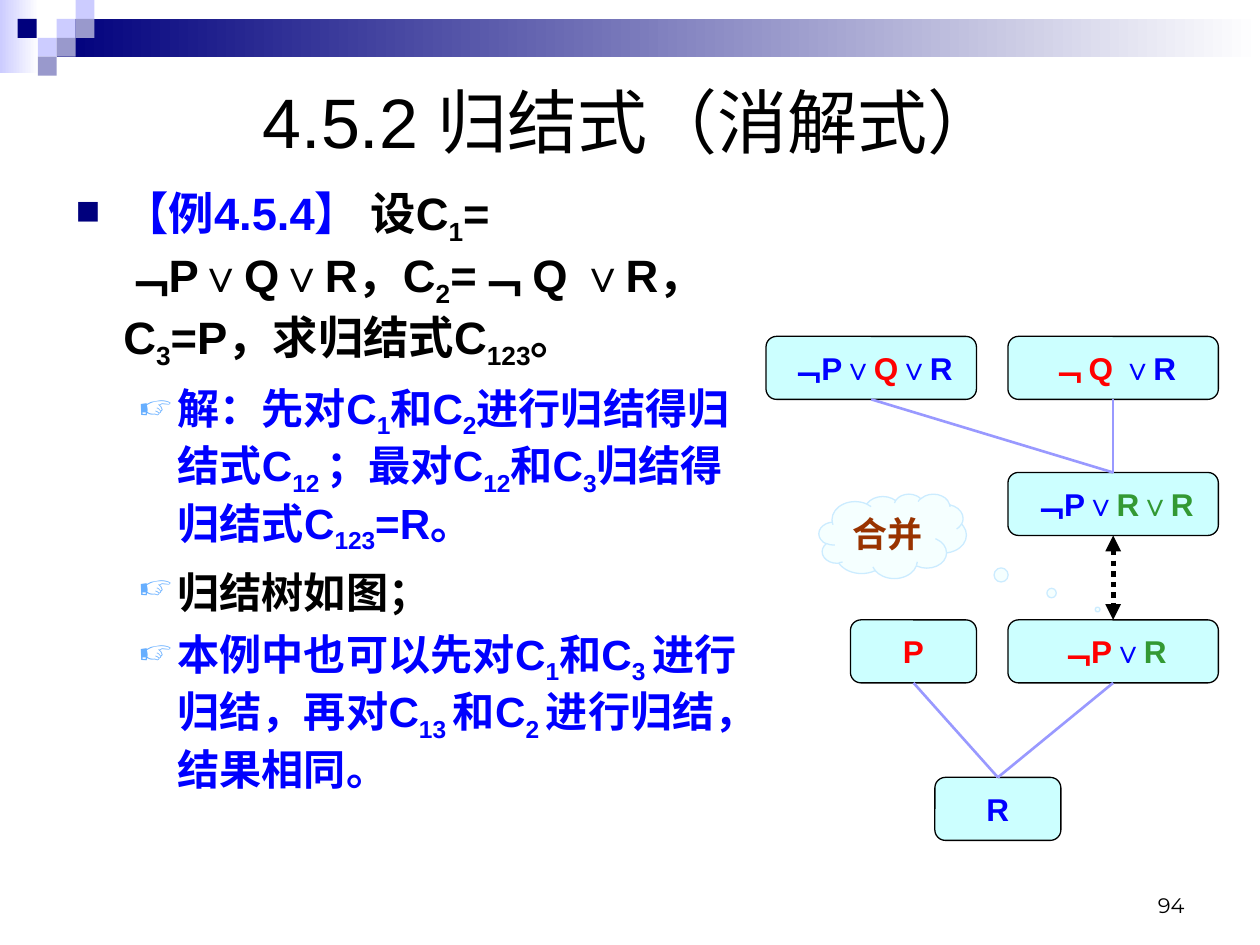
from dataclasses import dataclass

from lxml.etree import SubElement
from pptx import Presentation
from pptx.dml.color import RGBColor
from pptx.enum.dml import MSO_LINE
from pptx.enum.shapes import MSO_CONNECTOR, MSO_SHAPE
from pptx.enum.text import MSO_ANCHOR, PP_ALIGN
from pptx.oxml.ns import qn
from pptx.util import Inches, Pt

COLORS = {
    "navy": "00007D", "lilac": "CCCCFF", "violet": "9999CC", "white": "FFFFFF",
    "black": "000000", "blue": "0000FF", "red": "FF0000", "green": "339933",
    "brown": "993300", "clause": "CCFFFF", "edge": "9999FF", "sky": "67AFFF",
    "cloud": "F5FFFF", "cloud line": "CCECFF",
}


@dataclass
class Tile:
    left: float
    top: float
    color: str


@dataclass
class Clause:
    left: float
    top: float
    width: float
    runs: list[tuple[str, str]]
    height: float = 0.5

    @property
    def top_center(self) -> tuple[float, float]:
        return self.left + self.width / 2, self.top

    @property
    def bottom_center(self) -> tuple[float, float]:
        return self.left + self.width / 2, self.top + self.height


@dataclass
class Point:
    """A bulleted paragraph; braces in its runs hold subscripts."""
    runs: list[tuple[str, str]]
    size: float = 24.1
    level: int = 1
    margin: float = 0.81
    hanging: float = 0.31
    before: float = 6.5
    bullet: str = "☞"
    bullet_color: str = "sky"
    bullet_percent: int = 80


def rgb(name: str) -> RGBColor:
    return RGBColor.from_string(COLORS[name])


def add_runs(paragraph, runs: list[tuple[str, str]]) -> None:
    for text, color in runs:
        for index, part in enumerate(text.replace("}", "{").split("{")):
            if not part:
                continue
            run = paragraph.add_run()
            run.text = part
            run.font.color.rgb = rgb(color)
            if index % 2:
                run.font._element.set("baseline", "-25000")


def set_font(paragraph, size: float, bold: bool = False, name: str = "Arial") -> None:
    paragraph.font.name = name
    paragraph.font.size = Pt(size)
    paragraph.font.bold = bold


def add_shape(slide, kind, left: float, top: float, width: float, height: float,
              fill: str, line: str | None = None):
    shape = slide.shapes.add_shape(
        kind, Inches(left), Inches(top), Inches(width), Inches(height))
    shape.shadow.inherit = False
    shape.fill.solid()
    shape.fill.fore_color.rgb = rgb(fill)
    if line:
        shape.line.color.rgb = rgb(line)
        shape.line.width = Pt(0.75)
    else:
        shape.line.fill.background()
    return shape


def add_fading_bar(slide, left: float, top: float, width: float, height: float,
                   color: str) -> None:
    bar = add_shape(slide, MSO_SHAPE.RECTANGLE, left, top, width, height, color)
    bar.fill.gradient()
    bar.fill.gradient_angle = 0
    for stop, name, position in zip(bar.fill.gradient_stops, (color, "white"), (0, 1)):
        stop.color.rgb = rgb(name)
        stop.position = position


def add_label(slide, left: float, top: float, width: float, height: float, text: str,
              size: float, align, anchor, font: str = "Arial") -> None:
    frame = slide.shapes.add_textbox(
        Inches(left), Inches(top), Inches(width), Inches(height)).text_frame
    frame.word_wrap = True
    frame.vertical_anchor = anchor
    paragraph = frame.paragraphs[0]
    paragraph.alignment = align
    add_runs(paragraph, [(text, "black")])
    set_font(paragraph, size, name=font)


def add_point(paragraph, point: Point, first: bool) -> None:
    paragraph.level = point.level
    if not first:
        paragraph.space_before = Pt(point.before)
    properties = paragraph._p.get_or_add_pPr()
    properties.set("marL", str(Inches(point.margin)))
    properties.set("indent", str(-Inches(point.hanging)))
    color = SubElement(properties, qn("a:buClr"))
    SubElement(color, qn("a:srgbClr"), val=COLORS[point.bullet_color])
    SubElement(properties, qn("a:buSzPct"), val=str(point.bullet_percent * 1000))
    SubElement(properties, qn("a:buChar"), char=point.bullet)
    add_runs(paragraph, point.runs)
    set_font(paragraph, point.size, bold=True)


def add_clause(slide, clause: Clause) -> None:
    box = add_shape(slide, MSO_SHAPE.ROUNDED_RECTANGLE, clause.left, clause.top,
                    clause.width, clause.height, "clause", "black")
    frame = box.text_frame
    frame.word_wrap = False
    frame.vertical_anchor = MSO_ANCHOR.MIDDLE
    paragraph = frame.paragraphs[0]
    paragraph.alignment = PP_ALIGN.CENTER
    add_runs(paragraph, clause.runs)
    set_font(paragraph, 18, bold=True)


def add_edge(slide, start: tuple[float, float], end: tuple[float, float],
             color: str = "edge", width: float = 1.5):
    edge = slide.shapes.add_connector(
        MSO_CONNECTOR.STRAIGHT, *(Inches(value) for value in start + end))
    edge.line.color.rgb = rgb(color)
    edge.line.width = Pt(width)
    SubElement(edge._element.spPr, qn("a:effectLst"))
    return edge


presentation = Presentation()
presentation.slide_width, presentation.slide_height = Inches(10), Inches(7.5)
slide = presentation.slides.add_slide(presentation.slide_layouts[6])

# Banner with its mosaic of tiles
add_fading_bar(slide, 0, 0, 0.31, 0.58, "lilac")
add_fading_bar(slide, 0.45, 0.15, 9.55, 0.3, "navy")
for tile in (Tile(0.45, 0.15, "lilac"), Tile(0.6, 0, "lilac"),
             Tile(0.6, 0.15, "violet"), Tile(0.3, 0.3, "lilac"),
             Tile(0.14, 0.15, "navy"), Tile(0.45, 0.3, "violet"),
             Tile(0.3, 0.45, "violet")):
    add_shape(slide, MSO_SHAPE.RECTANGLE, tile.left, tile.top, 0.15, 0.15, tile.color)

# Title and page number
add_label(slide, 0.5, 0.5, 9, 0.92, "4.5.2 归结式（消解式）", 40,
          PP_ALIGN.CENTER, MSO_ANCHOR.MIDDLE)
add_label(slide, 7.17, 6.83, 2.33, 0.5, "94", 12,
          PP_ALIGN.RIGHT, MSO_ANCHOR.BOTTOM, "Montserrat")

# Example and its solution
points = [
    Point([("【例4.5.4】 ", "blue"),
           ("设C{1}=﹁P∨Q∨R，C{2}=﹁ Q ∨R， C{3}=P，求归结式C{123}。", "black")],
          25.9, 0, 0.38, 0.38, 7, "■", "navy", 75),
    Point([("解：先对C{1}和C{2}进行归结得归结式C{12 }；最对C{12}和C{3}"
            "归结得归结式C{123}=R。", "blue")]),
    Point([("归结树如图；", "black")]),
    Point([("本例中也可以先对C{1}和C{3 }进行归结，再对C{13 }和C{2 }"
            "进行归结，结果相同。", "blue")]),
]
example = slide.shapes.add_textbox(
    Inches(0.5), Inches(1.42), Inches(5.58), Inches(5.33)).text_frame
example.word_wrap = True
for index, point in enumerate(points):
    paragraph = example.add_paragraph() if index else example.paragraphs[0]
    add_point(paragraph, point, first=index == 0)

# Clauses of the resolution tree
c1 = Clause(6.08, 2.67, 1.67, [("﹁P∨", "blue"), ("Q", "red"), ("∨R", "blue")])
c2 = Clause(8, 2.67, 1.67, [("﹁ Q", "red"), (" ∨R", "blue")])
c12 = Clause(8, 3.75, 1.67, [("﹁P∨", "blue"), ("R∨R", "green")])
merged = Clause(8, 4.92, 1.67, [("﹁P", "red"), ("∨", "blue"), ("R", "green")])
c3 = Clause(6.75, 4.92, 1, [("P", "red")])
c123 = Clause(7.42, 6.17, 1, [("R", "blue")])
for clause in (c1, c2, c12, merged, c3, c123):
    add_clause(slide, clause)

# Resolution steps
for parent, child in ((c1, c12), (c2, c12), (c3, c123), (merged, c123)):
    add_edge(slide, parent.bottom_center, child.top_center)

# Merging step with its cloud
merging = add_edge(slide, c12.bottom_center, merged.top_center, "black", 3)
merging.line.dash_style = MSO_LINE.ROUND_DOT
for end in ("a:headEnd", "a:tailEnd"):
    SubElement(merging.line._get_or_add_ln(), qn(end), type="triangle")
cloud = add_shape(slide, MSO_SHAPE.CLOUD_CALLOUT, 6.5, 3.92, 1.17, 0.67,
                  "cloud", "cloud line")
cloud.adjustments[0], cloud.adjustments[1] = 1.39, 0.87
cloud.text_frame.vertical_anchor = MSO_ANCHOR.TOP
remark = cloud.text_frame.paragraphs[0]
remark.alignment = PP_ALIGN.CENTER
add_runs(remark, [("合并", "brown")])
set_font(remark, 20, bold=True)

presentation.save("out.pptx")
